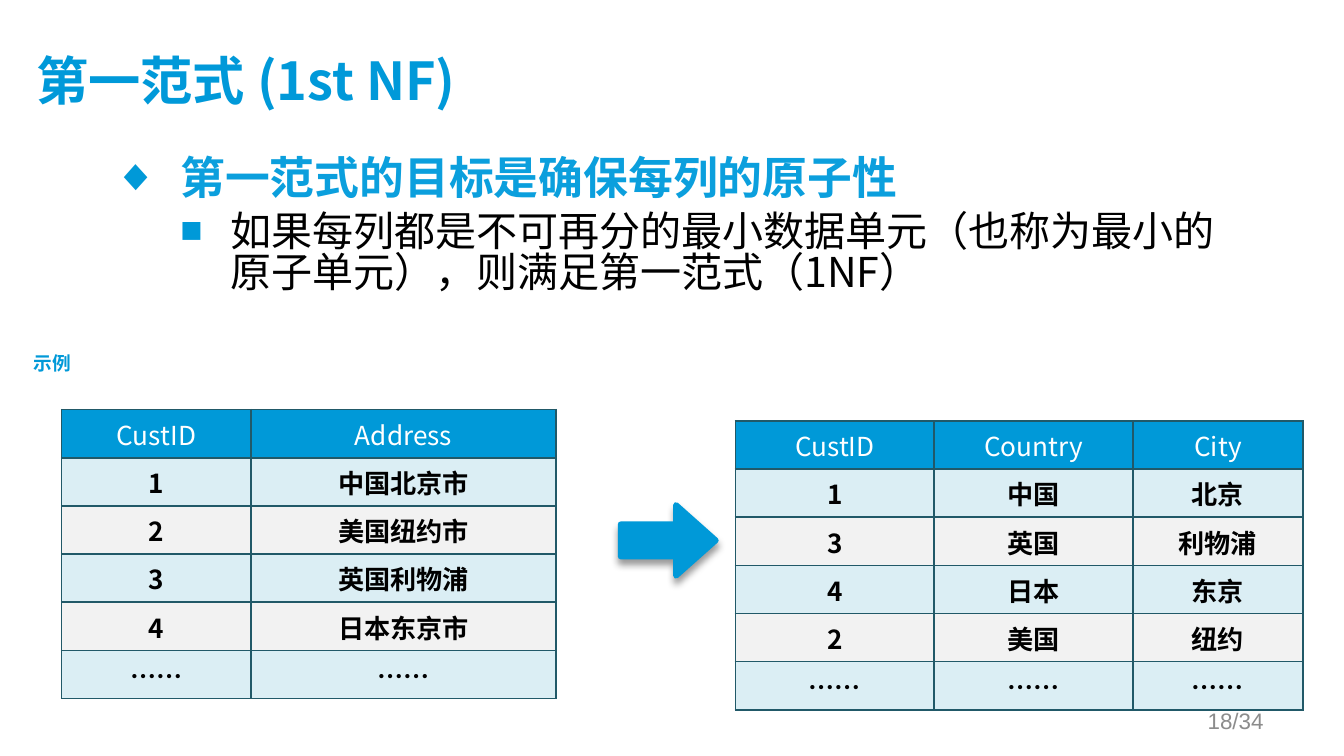
"""Build the first normal form slide with its before and after tables."""
from lxml.etree import SubElement
from pptx import Presentation
from pptx.dml.color import RGBColor
from pptx.enum.shapes import MSO_SHAPE
from pptx.enum.text import MSO_ANCHOR, PP_ALIGN
from pptx.oxml import parse_xml
from pptx.oxml.ns import nsdecls, qn
from pptx.util import Pt

COLORS = {
    "blue": "0099D8", "title": "0099D9", "goal": "0B9FDD", "black": "000000",
    "white": "FFFFFF", "page": "8C8C8C", "border": "215968",
    "odd": "DBEEF4", "even": "F2F2F2",
}
CJK, LATIN = "Noto Sans CJK SC", "Arial"

TITLE = "第一范式 (1st NF)"
BULLETS = [
    {"text": "第一范式的目标是确保每列的原子性", "mark": "◆", "scale": 100, "level": 0,
     "left": 36, "hang": 36, "before": 0, "size": 24, "color": "goal", "bold": True},
    {"text": "如果每列都是不可再分的最小数据单元（也称为最小的原子单元），则满足第一范式（1NF）",
     "mark": "■", "scale": 90, "level": 1,
     "left": 63, "hang": 27, "before": 5, "size": 22, "color": "black", "bold": False},
]
TABLES = [
    {"left": 33, "top": 219.5, "widths": [101.5, 163.5], "margin": 21, "rows": [
        ("CustID", "Address"),
        ("1", "中国北京市"),
        ("2", "美国纽约市"),
        ("3", "英国利物浦"),
        ("4", "日本东京市"),
        ("……", "……")]},
    {"left": 394, "top": 225.5, "widths": [106.5, 106.5, 91], "margin": 7.2, "rows": [
        ("CustID", "Country", "City"),
        ("1", "中国", "北京"),
        ("3", "英国", "利物浦"),
        ("4", "日本", "东京"),
        ("2", "美国", "纽约"),
        ("……", "……", "……")]},
]
ROW_HEIGHT = 25.8


def rgb(name):
    return RGBColor.from_string(COLORS[name])


def style(paragraph, size, color, bold=False, font=CJK, align=PP_ALIGN.LEFT):
    paragraph.alignment = align
    paragraph.font.size = Pt(size)
    paragraph.font.bold = bold
    paragraph.font.name = font
    paragraph.font.color.rgb = rgb(color)
    properties = paragraph._p.get_or_add_pPr().find(qn("a:defRPr"))
    SubElement(properties, qn("a:ea"), typeface=CJK)


def add_text_box(slide, box, anchor=MSO_ANCHOR.TOP, wrap=True):
    frame = slide.shapes.add_textbox(*map(Pt, box)).text_frame
    frame.word_wrap = wrap
    frame.vertical_anchor = anchor
    return frame


def add_bullets(slide, box):
    frame = add_text_box(slide, box)
    for index, item in enumerate(BULLETS):
        paragraph = frame.add_paragraph() if index else frame.paragraphs[0]
        paragraph.text = item["text"]
        paragraph.level = item["level"]
        paragraph.line_spacing = 0.84
        paragraph.space_before = Pt(item["before"])
        properties = paragraph._p.get_or_add_pPr()
        properties.set("marL", str(Pt(item["left"])))
        properties.set("indent", str(-Pt(item["hang"])))
        color = SubElement(properties, qn("a:buClr"))
        SubElement(color, qn("a:srgbClr"), val=COLORS["blue"])
        SubElement(properties, qn("a:buSzPct"), val=str(item["scale"] * 1000))
        SubElement(properties, qn("a:buFont"), typeface=LATIN)
        SubElement(properties, qn("a:buChar"), char=item["mark"])
        style(paragraph, item["size"], item["color"], item["bold"])


def add_borders(cell):
    properties = cell._tc.get_or_add_tcPr()
    for position, side in enumerate(("lnL", "lnR", "lnT", "lnB")):
        properties.insert(position, parse_xml(
            f'<a:{side} {nsdecls("a")} w="{Pt(1)}"><a:solidFill>'
            f'<a:srgbClr val="{COLORS["border"]}"/></a:solidFill></a:{side}>'))


def add_data_table(slide, data):
    rows, widths = data["rows"], data["widths"]
    table = slide.shapes.add_table(
        len(rows), len(widths), Pt(data["left"]), Pt(data["top"]),
        Pt(sum(widths)), Pt(ROW_HEIGHT * len(rows))).table
    for column, width in zip(table.columns, widths):
        column.width = Pt(width)
    for row_index, values in enumerate(rows):
        table.rows[row_index].height = Pt(ROW_HEIGHT)
        header = row_index == 0
        fill = "blue" if header else "odd" if row_index % 2 else "even"
        for column_index, value in enumerate(values):
            cell = table.cell(row_index, column_index)
            cell.text = value
            cell.margin_left = cell.margin_right = Pt(data["margin"])
            cell.margin_top = cell.margin_bottom = Pt(2.88)
            cell.vertical_anchor = MSO_ANCHOR.MIDDLE if header else MSO_ANCHOR.TOP
            cell.fill.solid()
            cell.fill.fore_color.rgb = rgb(fill)
            style(cell.text_frame.paragraphs[0], 14, "white" if header else "black",
                  bold=not header, align=PP_ALIGN.CENTER)
            add_borders(cell)


def add_arrow(slide, box):
    arrow = slide.shapes.add_shape(MSO_SHAPE.DOWN_ARROW, *map(Pt, box))
    arrow.rotation = 270
    arrow.adjustments[0] = 0.455
    arrow.adjustments[1] = 0.562
    arrow.fill.solid()
    arrow.fill.fore_color.rgb = rgb("blue")
    arrow.line.color.rgb = rgb("blue")
    arrow.line.width = Pt(3)
    arrow.shadow.inherit = False
    effects = arrow._element.spPr.find(qn("a:effectLst"))
    shadow = SubElement(effects, qn("a:outerShdw"), blurRad=str(Pt(4)),
                        dist=str(Pt(3)), dir="5400000", rotWithShape="0")
    color = SubElement(shadow, qn("a:srgbClr"), val=COLORS["black"])
    SubElement(color, qn("a:alpha"), val="40000")


def main():
    presentation = Presentation()
    presentation.slide_width, presentation.slide_height = Pt(720), Pt(405)
    slide = presentation.slides.add_slide(presentation.slide_layouts[6])

    title = add_text_box(slide, (19.5, 16.5, 644.5, 55.5), MSO_ANCHOR.MIDDLE)
    title.margin_left = title.margin_top = 0
    title.text = TITLE
    style(title.paragraphs[0], 28, "title", bold=True)

    add_bullets(slide, (53.5, 81.5, 611, 265.5))
    add_arrow(slide, (339, 264, 38, 51))
    for data in TABLES:
        add_data_table(slide, data)

    label = add_text_box(slide, (10.8, 185, 34.5, 19.5), wrap=False)
    label.text = "示例"
    style(label.paragraphs[0], 10, "blue", bold=True, font=LATIN, align=PP_ALIGN.CENTER)

    page = add_text_box(slide, (516, 375, 168, 21.5), MSO_ANCHOR.MIDDLE)
    page.text = "18/34"
    style(page.paragraphs[0], 12, "page", font=LATIN, align=PP_ALIGN.RIGHT)

    presentation.save("out.pptx")


if __name__ == "__main__":
    main()
